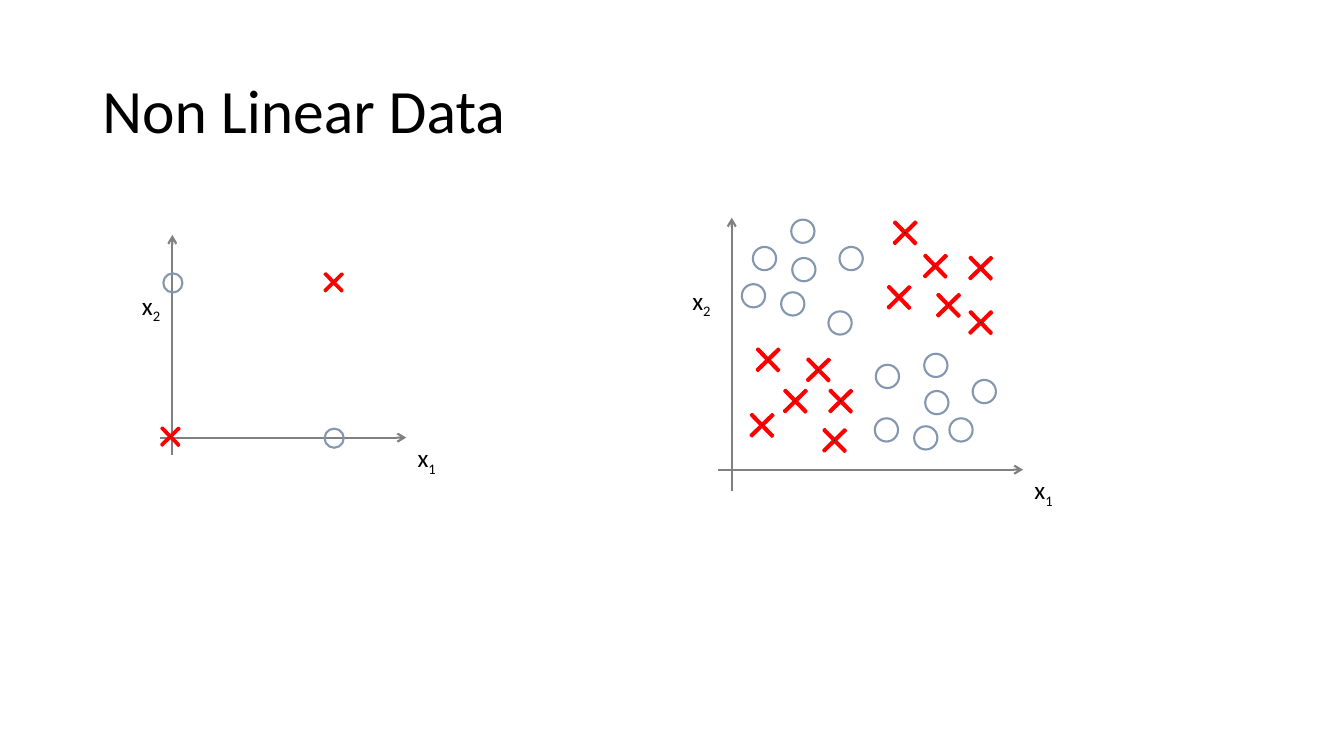
from dataclasses import dataclass

import pptx
import pptx.dml.color
import pptx.enum.shapes
import pptx.enum.text
import pptx.oxml
import pptx.oxml.ns
import pptx.util
from pptx.util import Pt


def color(value):
    return pptx.dml.color.RGBColor.from_string(value)


@dataclass(frozen=True)
class Theme:
    font: str = "Calibri"
    title_size: float = 44
    label_size: float = 18
    line_width: float = 1.5
    text: str = "000000"
    axis: str = "808080"
    cross: str = "FF0000"
    circle: str = "8497B0"


@dataclass(frozen=True)
class Plot:
    """Sizes in points; points are marker centres measured right and up from the origin."""
    box: tuple
    origin_inset: tuple
    label_size: tuple
    x2_drop: float
    cross_size: float
    circle_size: float
    crosses: list
    circles: list


THEME = Theme()

XOR_PLOT = Plot(
    box=(114.5, 167.8, 175.7, 157), origin_inset=(8.6, 12.2),
    label_size=(28.8, 28.8), x2_drop=36, cross_size=17.3, circle_size=13.7,
    crosses=[(-1.4, 0.7), (115.2, 110.9)],
    circles=[(115.6, -0.4), (0.4, 110.5)],
)

CLUSTER_PLOT = Plot(
    box=(512.6, 155.5, 218.2, 195.1), origin_inset=(10.1, 15.1),
    label_size=(35.3, 36), x2_drop=44.6, cross_size=21.6, circle_size=16.6,
    crosses=[
        (21.6, 31.7), (73.4, 20.9), (45.4, 49), (77.8, 49), (61.9, 71.3), (25.9, 78.5),
        (177.8, 105.1), (154.8, 117.4), (177.8, 144), (145.4, 145.4), (119.5, 123.1),
        (123.8, 169.2),
    ],
    circles=[
        (111.2, 66.6), (138.6, 22.7), (163.8, 28.4), (110.5, 28.4), (146.5, 47.9),
        (180.4, 55.8), (145.8, 74.5),
        (23.4, 150.8), (43.6, 118.4), (77.4, 104.8), (15.5, 124.2), (51.5, 142.9),
        (85.3, 150.8), (50.8, 170.3),
    ],
)


def add_run(paragraph, text, size):
    run = paragraph.add_run()
    run.text = text
    run.font.name = THEME.font
    run.font.size = Pt(size)
    run.font.color.rgb = color(THEME.text)
    return run


def add_title(slide, text, left, top, width, height):
    title = slide.shapes.title
    title.left, title.top, title.width, title.height = map(Pt, (left, top, width, height))
    title.text_frame.vertical_anchor = pptx.enum.text.MSO_ANCHOR.MIDDLE
    paragraph = title.text_frame.paragraphs[0]
    paragraph.alignment = pptx.enum.text.PP_ALIGN.LEFT
    paragraph.line_spacing = 0.9
    add_run(paragraph, text, THEME.title_size)


def add_axis(slide, start, end):
    axis = slide.shapes.add_connector(
        pptx.enum.shapes.MSO_CONNECTOR.STRAIGHT, *map(Pt, (*start, *end)))
    axis.line.color.rgb = color(THEME.axis)
    axis.line.width = Pt(THEME.line_width)
    properties = axis.element.spPr
    line = properties.find(pptx.oxml.ns.qn("a:ln"))
    namespace = pptx.oxml.ns.nsdecls("a")
    line.append(pptx.oxml.parse_xml(f'<a:tailEnd {namespace} type="arrow"/>'))
    properties.append(pptx.oxml.parse_xml(f"<a:effectLst {namespace}/>"))


def add_axis_label(slide, subscript, left, top, size):
    label = slide.shapes.add_textbox(*map(Pt, (left, top, *size)))
    label.text_frame.word_wrap = False
    paragraph = label.text_frame.paragraphs[0]
    add_run(paragraph, "x", THEME.label_size)
    index = add_run(paragraph, subscript, THEME.label_size)
    index.font._element.set("baseline", "-25000")


def add_marker(slide, kind, center, size, line_color):
    left, top = (value - size / 2 for value in center)
    marker = slide.shapes.add_shape(kind, *map(Pt, (left, top, size, size)))
    marker.shadow.inherit = False
    marker.line.color.rgb = color(line_color)
    marker.line.width = Pt(THEME.line_width)
    return marker


def add_plot(slide, plot):
    left, top, width, height = plot.box
    right, bottom = left + width, top + height
    origin_x = left + plot.origin_inset[0]
    origin_y = bottom - plot.origin_inset[1]

    add_axis(slide, (origin_x, bottom), (origin_x, top))
    add_axis(slide, (left, origin_y), (right, origin_y))
    add_axis_label(slide, "1", right + 1, origin_y, plot.label_size)
    add_axis_label(slide, "2", origin_x - plot.label_size[0], top + plot.x2_drop,
                   plot.label_size)

    shapes = pptx.enum.shapes.MSO_SHAPE
    for x, y in plot.crosses:
        cross = add_marker(slide, shapes.CROSS, (origin_x + x, origin_y - y),
                           plot.cross_size, THEME.cross)
        cross.adjustments[0] = 0.466
        cross.rotation = 45.6
        cross.fill.solid()
        cross.fill.fore_color.rgb = color(THEME.text)
    for x, y in plot.circles:
        circle = add_marker(slide, shapes.OVAL, (origin_x + x, origin_y - y),
                            plot.circle_size, THEME.circle)
        circle.fill.background()


def main():
    presentation = pptx.Presentation()
    presentation.slide_width = Pt(960)
    presentation.slide_height = Pt(540)
    slide = presentation.slides.add_slide(presentation.slide_layouts[5])
    add_title(slide, "Non Linear Data", 66, 28.8, 828, 104.4)
    for plot in (CLUSTER_PLOT, XOR_PLOT):
        add_plot(slide, plot)
    presentation.save("out.pptx")


if __name__ == "__main__":
    main()
